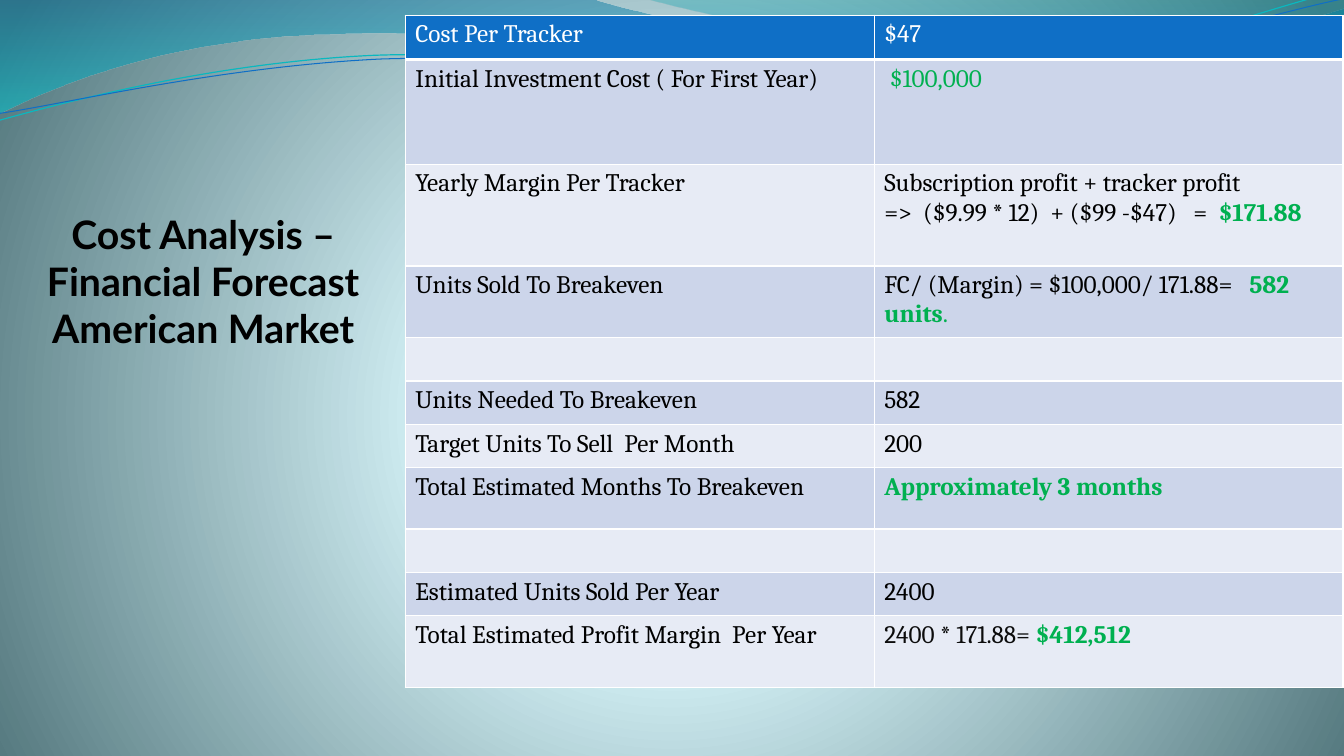
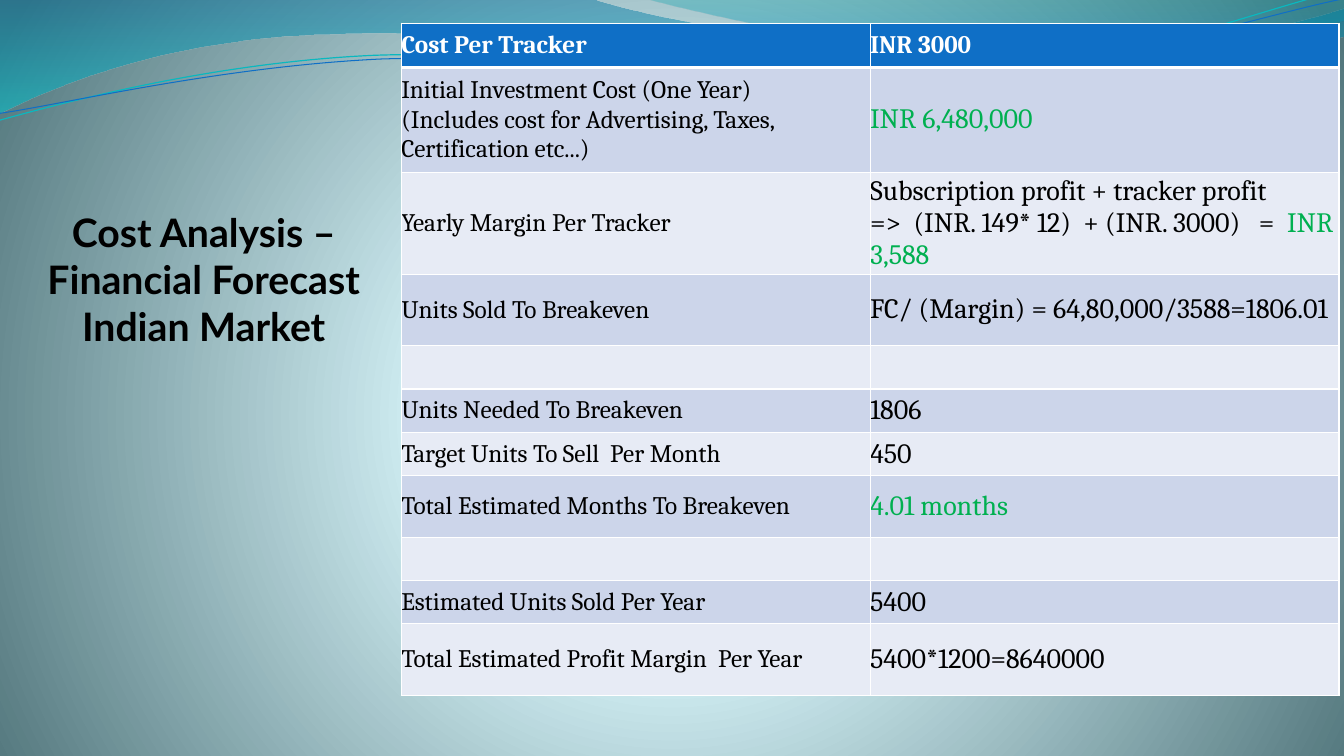
from dataclasses import dataclass
from typing import NamedTuple

from lxml import etree
from pptx import Presentation
from pptx.dml.color import RGBColor
from pptx.enum.text import MSO_ANCHOR, PP_ALIGN
from pptx.oxml.ns import qn
from pptx.util import Emu, Pt

CENTER = PP_ALIGN.CENTER
TOP, MIDDLE, BOTTOM = MSO_ANCHOR.TOP, MSO_ANCHOR.MIDDLE, MSO_ANCHOR.BOTTOM

# Shared scale and style
PX = 9144  # 100 px to the inch
SLIDE_WIDTH, SLIDE_HEIGHT = 1333, 750
TITLE_FONT, TABLE_FONT = "Lato", "Cambria"
BLACK, INK, WHITE, GREEN = "000000", "0C0C0C", "FFFFFF", "00B050"
BLUE, TEAL = "0F6FC6", "0AB8BF"
BANDS = ("E7EBF5", "CCD5EA")
COLUMN_WIDTH = 465
ROW_HEIGHTS = (44, 104, 101, 71, 43, 43, 43, 61, 43, 43, 71)
LABEL_SIZE = 18
LINE_TURN = 357.3


class Stop(NamedTuple):
    position: int
    color: str
    opacity: int = 100


class Span(NamedTuple):
    text: str
    color: str = BLACK
    bold: bool = False


class Wave(NamedTuple):
    """Two numbers in a step are a line, six are a cubic curve."""
    start: tuple[int, int]
    steps: tuple[tuple[int, ...], ...]
    stops: tuple[Stop, ...] = ()
    line_color: str = ""
    line_width: float = 0


@dataclass
class Forecast:
    market: str
    title_frame: tuple[int, int, int, int]
    table_corner: tuple[int, int]
    investment_label: str
    values: list[tuple[Span, ...]]
    value_size: int
    header_bold: bool
    anchor: MSO_ANCHOR
    margins: tuple[int, int]


BACKGROUND = (Stop(0, "DEFBFF"), Stop(25, "DDFAFF"), Stop(100, "52767C"))

WAVES = (
    Wave((0, 0), ((587, -1), (634, 17, 885, 63, 1011, 63),
                  (1138, 63, 1278, 26, 1333, 9), (1335, 36),
                  (1311, 44, 1160, 76, 994, 75), (829, 75, 509, 28, 343, 34),
                  (172, 36, 61, 83, -1, 113), (0, 0)),
         stops=(Stop(0, "0074A1", 45), Stop(100, "00C6CF", 55))),
    Wave((639, -1), ((679, 11, 909, 62, 1025, 65),
                     (1141, 69, 1282, 32, 1333, 21), (1333, 0), (639, -1)),
         stops=(Stop(0, "00A1A9", 30), Stop(80, "008BBF", 45))),
    Wave((-3, 88), ((63, 73, 211, 41, 369, 41), (528, 42, 788, 93, 949, 89),
                    (1109, 87, 1254, 36, 1333, 22)),
         line_color=TEAL, line_width=0.85),
    Wave((-2, 81), ((62, 75, 218, 45, 378, 45), (537, 47, 795, 88, 954, 86),
                    (1114, 83, 1256, 42, 1336, 30)),
         line_color=BLUE, line_width=0.75),
)

# Table wording
LABELS = (
    "Cost Per Tracker", "", "Yearly Margin Per Tracker",
    "Units Sold To Breakeven", "", "Units Needed To Breakeven",
    "Target Units To Sell  Per Month", "Total Estimated Months To Breakeven",
    "", "Estimated Units Sold Per Year",
    "Total Estimated Profit Margin  Per Year",
)
INVESTMENT_ROW = 1

FORECASTS = (
    Forecast(
        "American Market", (0, 159, 403, 190), (402, 15),
        "Initial Investment Cost ( For First Year)",
        [
            (Span("$47", WHITE),),
            (Span(" $100,000", GREEN),),
            (Span("Subscription profit + tracker profit\n"
                  "=>  ($9.99 * 12)  + ($99 -$47)   =  "),
             Span("$171.88", GREEN, True)),
            (Span("FC/ (Margin) = $100,000/ 171.88="),
             Span("   582 units", GREEN, True), Span(".", GREEN)),
            (),
            (Span("582"),),
            (Span("200"),),
            (Span("Approximately 3 months", GREEN, True),),
            (),
            (Span("2400"),),
            (Span("2400 * 171.88= ", INK), Span("$412,512", GREEN, True)),
        ],
        value_size=18, header_bold=False, anchor=TOP, margins=(10, 5)),
    Forecast(
        "Indian Market", (1, 162, 402, 185), (398, 23),
        "Initial Investment Cost (One Year)\n"
        "(Includes cost for Advertising, Taxes, Certification etc...)",
        [
            (Span("INR 3000", WHITE, True),),
            (Span("INR 6,480,000", GREEN),),
            (Span("Subscription profit + tracker profit\n"
                  "=>  (INR. 149* 12)  + (INR. 3000)   =  "),
             Span("INR 3,588", GREEN)),
            (Span("FC/ (Margin) = 64,80,000/3588=1806.01"),),
            (),
            (Span("1806"),),
            (Span("450"),),
            (Span("4.01 months", GREEN),),
            (),
            (Span("5400"),),
            (Span("5400*1200=8640000"),),
        ],
        value_size=20, header_bold=True, anchor=MIDDLE, margins=(0, 0)),
)


def px(length: int) -> Emu:
    return Emu(length * PX)


def rgb(color: str) -> RGBColor:
    return RGBColor.from_string(color)


def add_span(para, text: str, *, size: int, font: str, color: str = BLACK,
             bold: bool = False) -> None:
    span = para.add_run()
    span.text = text
    span.font.size = Pt(size)
    span.font.name = font
    span.font.bold = bold
    span.font.color.rgb = rgb(color)


def set_gradient(fill, owner, stops: tuple[Stop, ...], *,
                 radial: bool = False) -> None:
    fill.gradient()
    gradient = next(owner.iter(qn("a:gradFill")))
    for child in list(gradient):
        gradient.remove(child)
    stop_list = etree.SubElement(gradient, qn("a:gsLst"))
    for stop in stops:
        mark = etree.SubElement(stop_list, qn("a:gs"), pos=str(stop.position * 1000))
        color = etree.SubElement(mark, qn("a:srgbClr"), val=stop.color)
        if stop.opacity < 100:
            etree.SubElement(color, qn("a:alpha"), val=str(stop.opacity * 1000))
    if radial:
        circle = etree.SubElement(gradient, qn("a:path"), path="circle")
        etree.SubElement(circle, qn("a:fillToRect"),
                         l="10000", t="110000", r="10000", b="100000")
    else:
        etree.SubElement(gradient, qn("a:lin"), ang="5400000", scaled="0")


# Waves across the top
def bend_segments(shape, steps: tuple[tuple[int, ...], ...]) -> None:
    """Join the three segments of each cubic step into one curve."""
    segments = iter(list(shape.element.iter(qn("a:lnTo"))))
    for step in steps:
        segment = next(segments)
        if len(step) == 6:
            segment.tag = qn("a:cubicBezTo")
            for _ in range(2):
                extra = next(segments)
                segment.append(extra[0])
                extra.getparent().remove(extra)


def draw_wave(page, wave: Wave) -> None:
    builder = page.shapes.build_freeform(*wave.start, scale=PX)
    points = [step[i:i + 2] for step in wave.steps for i in range(0, len(step), 2)]
    builder.add_line_segments(points, close=bool(wave.stops))
    shape = builder.convert_to_shape()
    bend_segments(shape, wave.steps)
    shape.shadow.inherit = False
    if wave.stops:
        set_gradient(shape.fill, shape.element, wave.stops)
        shape.line.fill.background()
    else:
        shape.rotation = LINE_TURN
        shape.fill.background()
        shape.line.color.rgb = rgb(wave.line_color)
        shape.line.width = Pt(wave.line_width)


# Title
def draw_title(page, forecast: Forecast) -> None:
    box = page.shapes.add_textbox(*map(px, forecast.title_frame))
    frame = box.text_frame
    frame.word_wrap = True
    frame.vertical_anchor = BOTTOM
    frame.margin_left = frame.margin_right = frame.margin_bottom = 0
    frame.margin_top = px(5)
    para = frame.paragraphs[0]
    para.alignment = CENTER
    style = {"size": 28, "font": TITLE_FONT, "bold": True}
    add_span(para, "Cost Analysis – Financial Forecast", **style)
    para.add_line_break()
    add_span(para, forecast.market, **style)


# Table
def set_borders(cell, row: int) -> None:
    widths = {"L": 1, "R": 1, "T": 3 if row == 1 else 1, "B": 3 if row == 0 else 1}
    properties = cell._tc.get_or_add_tcPr()
    for side, width in widths.items():
        line = etree.SubElement(properties, qn(f"a:ln{side}"), w=str(Pt(width)))
        fill = etree.SubElement(line, qn("a:solidFill"))
        etree.SubElement(fill, qn("a:srgbClr"), val=WHITE)


def fill_cell(cell, spans: tuple[Span, ...], size: int) -> None:
    frame = cell.text_frame
    para = frame.paragraphs[0]
    for span in spans:
        for index, text in enumerate(span.text.split("\n")):
            if index:
                para = frame.add_paragraph()
            add_span(para, text, size=size, font=TABLE_FONT,
                     color=span.color, bold=span.bold)


def draw_table(page, forecast: Forecast) -> None:
    left, top = forecast.table_corner
    frame = page.shapes.add_table(len(ROW_HEIGHTS), 2, px(left), px(top),
                                  px(2 * COLUMN_WIDTH), px(sum(ROW_HEIGHTS)))
    table = frame.table
    table.first_row = table.horz_banding = False
    for column in table.columns:
        column.width = px(COLUMN_WIDTH)
    side_margin, end_margin = map(px, forecast.margins)
    for row, height in enumerate(ROW_HEIGHTS):
        table.rows[row].height = px(height)
        header = row == 0
        text = forecast.investment_label if row == INVESTMENT_ROW else LABELS[row]
        label = Span(text, WHITE if header else BLACK, header and forecast.header_bold)
        value_size = LABEL_SIZE if header else forecast.value_size
        contents = (((label,) if text else (), LABEL_SIZE),
                    (forecast.values[row], value_size))
        for column, (spans, size) in enumerate(contents):
            cell = table.cell(row, column)
            set_borders(cell, row)
            cell.fill.solid()
            cell.fill.fore_color.rgb = rgb(BLUE if header else BANDS[row % 2])
            cell.vertical_anchor = forecast.anchor
            cell.margin_left = cell.margin_right = side_margin
            cell.margin_top = cell.margin_bottom = end_margin
            fill_cell(cell, spans, size)


def main() -> None:
    deck = Presentation()
    deck.slide_width, deck.slide_height = px(SLIDE_WIDTH), px(SLIDE_HEIGHT)
    master = deck.slide_master
    set_gradient(master.background.fill, master.element, BACKGROUND, radial=True)
    for forecast in FORECASTS:
        page = deck.slides.add_slide(deck.slide_layouts[6])
        for wave in WAVES:
            draw_wave(page, wave)
        draw_title(page, forecast)
        draw_table(page, forecast)
    deck.save("out.pptx")


if __name__ == "__main__":
    main()
